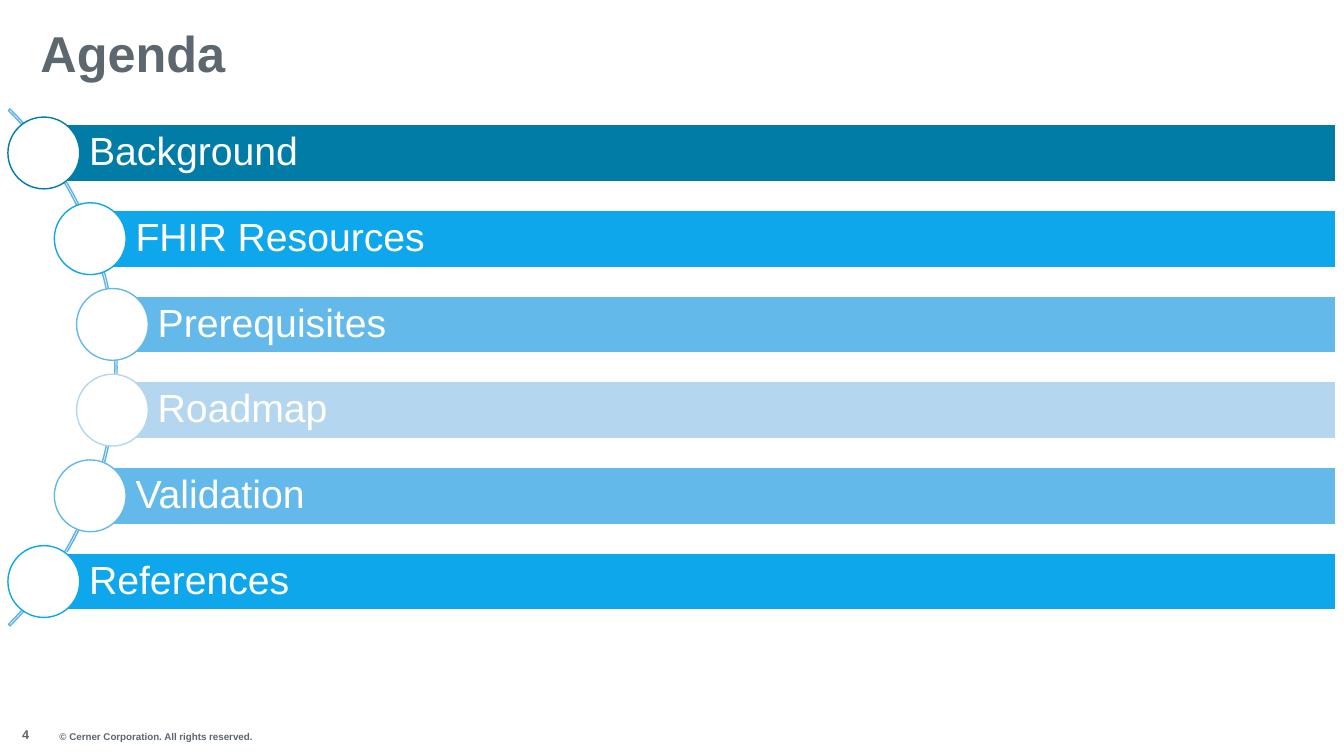
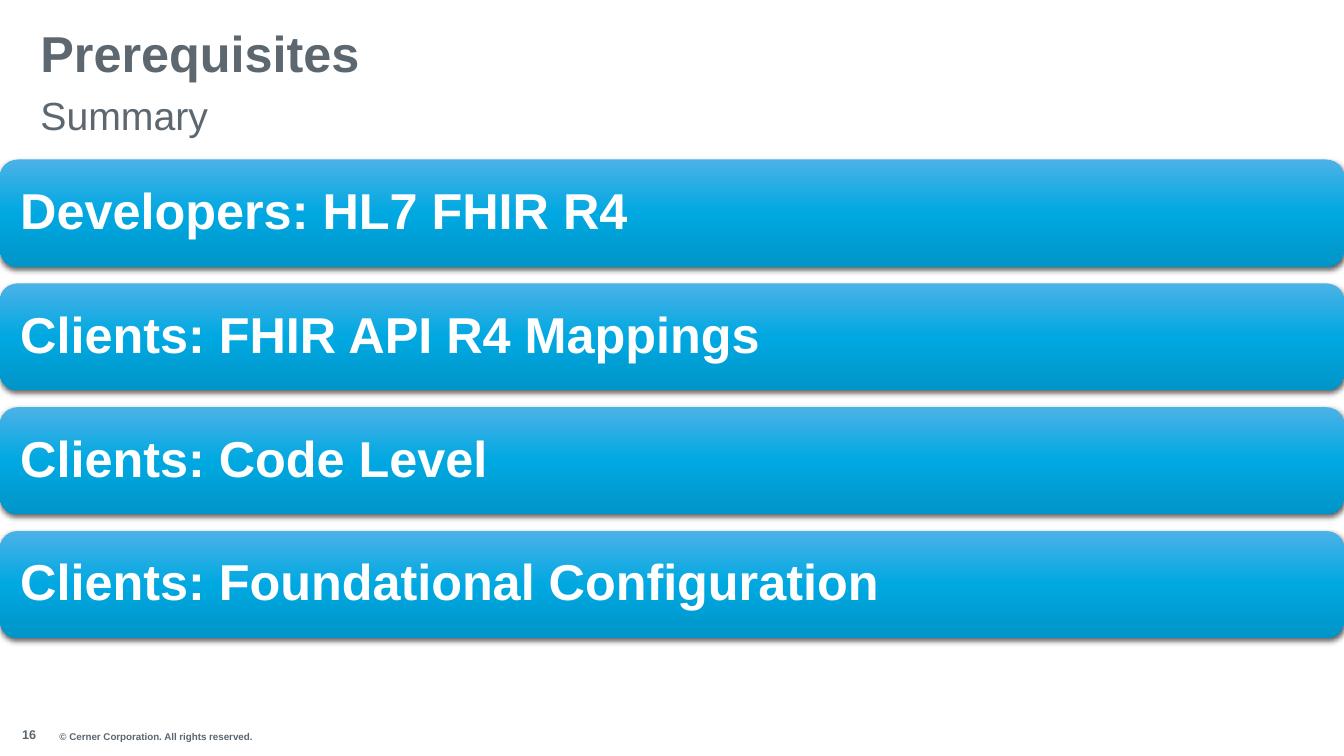
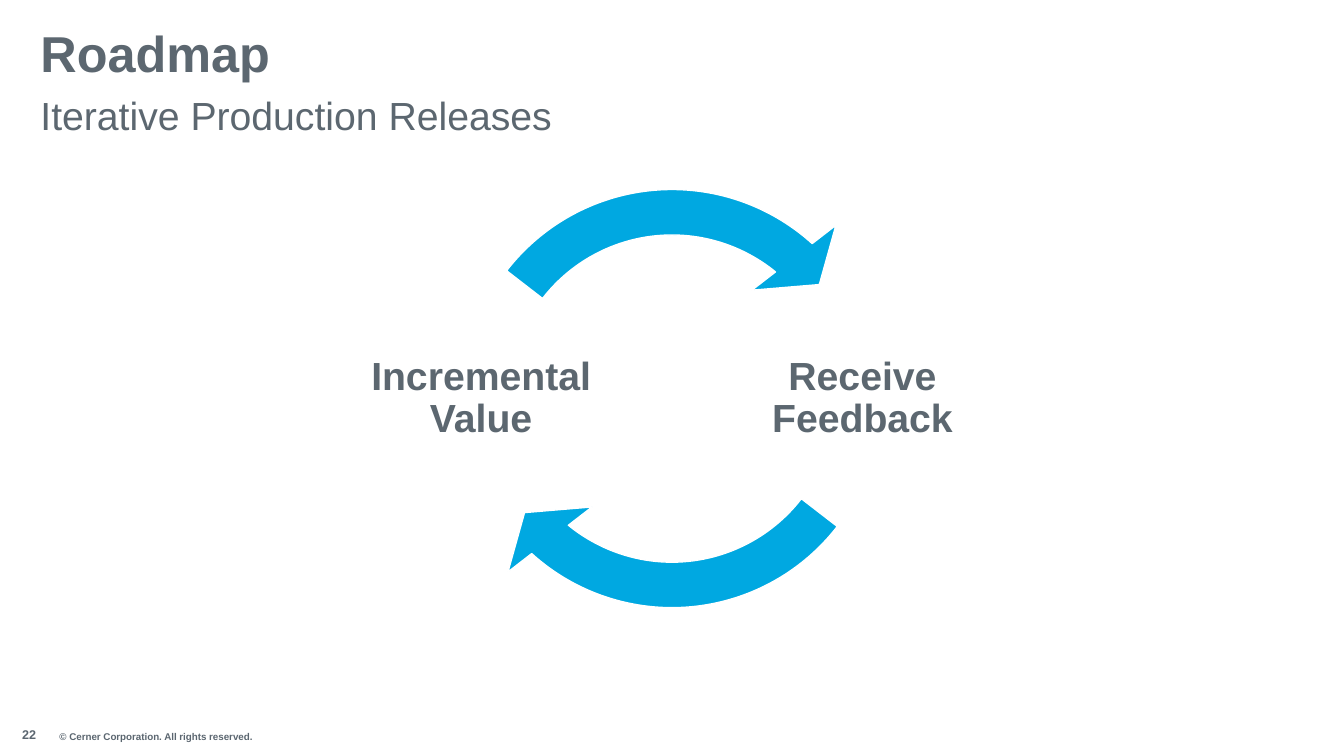
"""Build three slides: agenda, prerequisites and roadmap."""
from copy import deepcopy
from dataclasses import dataclass

from lxml.etree import SubElement as Sub
from pptx import Presentation
from pptx.dml.color import RGBColor
from pptx.enum.shapes import MSO_SHAPE as Kind
from pptx.enum.text import MSO_ANCHOR as Anchor, PP_ALIGN as Align
from pptx.oxml.ns import qn
from pptx.shapes.autoshape import Shape
from pptx.slide import Slide
from pptx.util import Cm, Pt

WIDE, HIGH = 33.87, 19.05
FONT = "Arial"
WHITE, SLATE, GREY = "FFFFFF", "5C6770", "5B6670"
TEAL, AZURE, SKY, PALE = "007CA6", "0EA7EC", "64B9EB", "B4D6EF"
ARC, BLUE = "5EB3E4", "00A8E1"
BLEND = ((0, "4BB2E7"), (0.5, BLUE), (1, "0095C8"))


@dataclass(frozen=True)
class Box:
    left: float
    top: float
    width: float
    height: float


@dataclass(frozen=True)
class Style:
    size: float
    color: str
    bold: bool = False
    align: Align = Align.LEFT
    anchor: Anchor = Anchor.MIDDLE
    space: float = 0.9
    wrap: bool = True
    pad: tuple[float, float, float, float] = (0, 0, 0, 0)


@dataclass(frozen=True)
class Topic:
    text: str
    left: float
    color: str


TITLE = Style(36, SLATE, True, pad=(1.02, 1.02, 2.54, 0.13))
SUB = Style(28, SLATE, pad=(1.02, 0, 0.25, 0))
PAGE = Style(9, GREY, True, anchor=Anchor.TOP, space=1)
RIGHTS = Style(7, GREY, True, anchor=Anchor.TOP, space=1, wrap=False)
TOPIC = Style(28, WHITE, pad=(1.14, 0.2, 0.2, 0.2))
CARD = Style(36, WHITE, True, pad=(0.38, 0.38, 0.38, 0.38))
STAGE = Style(28, SLATE, True, Align.CENTER, pad=(0.1, 0.1, 0.1, 0.1))

TOPICS = (
    Topic("Background", 0.2, TEAL),
    Topic("FHIR Resources", 1.37, AZURE),
    Topic("Prerequisites", 1.93, SKY),
    Topic("Roadmap", 1.93, PALE),
    Topic("Validation", 1.37, SKY),
    Topic("References", 0.2, AZURE),
)
CARDS = (
    "Developers: HL7 FHIR R4",
    "Clients: FHIR API R4 Mappings",
    "Clients: Code Level",
    "Clients: Foundational Configuration",
)
STAGES = (("Receive Feedback", 18.8), ("Incremental Value", 9.19))


def rgb(code: str) -> RGBColor:
    return RGBColor.from_string(code)


def place(box: Box) -> tuple[Cm, Cm, Cm, Cm]:
    return Cm(box.left), Cm(box.top), Cm(box.width), Cm(box.height)


def write(shape: Shape, text: str, style: Style) -> None:
    frame = shape.text_frame
    frame.word_wrap = style.wrap
    frame.vertical_anchor = style.anchor
    (frame.margin_left, frame.margin_top,
     frame.margin_right, frame.margin_bottom) = map(Cm, style.pad)
    para = frame.paragraphs[0]
    para.alignment = style.align
    para.line_spacing = style.space
    run = para.add_run()
    run.text = text
    font = run.font
    font.name, font.size, font.bold = FONT, Pt(style.size), style.bold
    font.color.rgb = rgb(style.color)


def label(slide: Slide, box: Box, text: str, style: Style) -> None:
    write(slide.shapes.add_textbox(*place(box)), text, style)


def draw(slide: Slide, kind: Kind, box: Box, fill: str | None = None,
         line: str | None = None, adj: tuple[float, ...] = ()) -> Shape:
    shape = slide.shapes.add_shape(kind, *place(box))
    shape.shadow.inherit = False
    for spot, value in enumerate(adj):
        shape.adjustments[spot] = value
    if fill:
        shape.fill.solid()
        shape.fill.fore_color.rgb = rgb(fill)
    else:
        shape.fill.background()
    if line:
        shape.line.color.rgb = rgb(line)
        shape.line.width = Pt(1)
    else:
        shape.line.fill.background()
    return shape


def shade(shape: Shape) -> None:
    shape.fill.gradient()
    shape.fill.gradient_angle = 270
    stops = shape.element.spPr.find(".//" + qn("a:gsLst"))
    stops.insert(1, deepcopy(stops[0]))
    for stop, (spot, code) in zip(shape.fill.gradient_stops, BLEND):
        stop.position = spot
        stop.color.rgb = rgb(code)


def cast(shape: Shape) -> None:
    effects = shape.element.spPr.find(qn("a:effectLst"))
    outer = Sub(effects, qn("a:outerShdw"), blurRad=str(Pt(4.5)),
                dist=str(Pt(1.5)), dir="5400000", algn="ctr",
                rotWithShape="0")
    color = Sub(outer, qn("a:srgbClr"), val="000000")
    Sub(color, qn("a:alpha"), val="63000")


def start(deck: Presentation, page: int, title: str, sub: str = "") -> Slide:
    slide = deck.slides.add_slide(deck.slide_layouts[6])
    label(slide, Box(1.5, 18.42, 4.95, 0.3),
          "© Cerner Corporation. All rights reserved.", RIGHTS)
    label(slide, Box(0.56, 18.31, 0.84, 0.38), str(page), PAGE)
    label(slide, Box(0, 0, WIDE, 1.96), title, TITLE)
    if sub:
        label(slide, Box(0, 2.34, WIDE, 1.27), sub, SUB)
    return slide


def agenda(deck: Presentation) -> None:
    slide = start(deck, 4, "Agenda")
    draw(slide, Kind.BLOCK_ARC, Box(-15.47, 0.05, 18.42, 18.42),
         line=ARC, adj=(189, 27, 0.003))
    ball, tall, right = 1.81, 1.44, 33.66
    for row, topic in enumerate(TOPICS):
        top = 2.95 + row * 2.16
        left = topic.left + ball / 2
        bar = draw(slide, Kind.RECTANGLE,
                   Box(left, top + (ball - tall) / 2, right - left, tall),
                   topic.color, WHITE)
        write(bar, topic.text, TOPIC)
        draw(slide, Kind.OVAL, Box(topic.left, top, ball, ball),
             WHITE, topic.color)


def needs(deck: Presentation) -> None:
    slide = start(deck, 16, "Prerequisites", "Summary")
    for row, text in enumerate(CARDS):
        card = draw(slide, Kind.ROUNDED_RECTANGLE,
                    Box(0, 4.02 + row * 3.12, WIDE, 2.7))
        shade(card)
        cast(card)
        write(card, text, CARD)


def roadmap(deck: Presentation) -> None:
    slide = start(deck, 22, "Roadmap", "Iterative Production Releases")
    half = 108
    for step, (text, left) in enumerate(STAGES):
        label(slide, Box(left, 7.11, 5.87, 5.87), text, STAGE)
        turn = step * half
        draw(slide, Kind.CIRCULAR_ARROW, Box(10.9, 4.01, 12.07, 12.07),
             BLUE, WHITE, (0.095, 6.846, 78.526 + turn, 22.628 + turn, 0.111))


def main() -> None:
    deck = Presentation()
    deck.slide_width, deck.slide_height = Cm(WIDE), Cm(HIGH)
    agenda(deck)
    needs(deck)
    roadmap(deck)
    deck.save("out.pptx")


if __name__ == "__main__":
    main()
